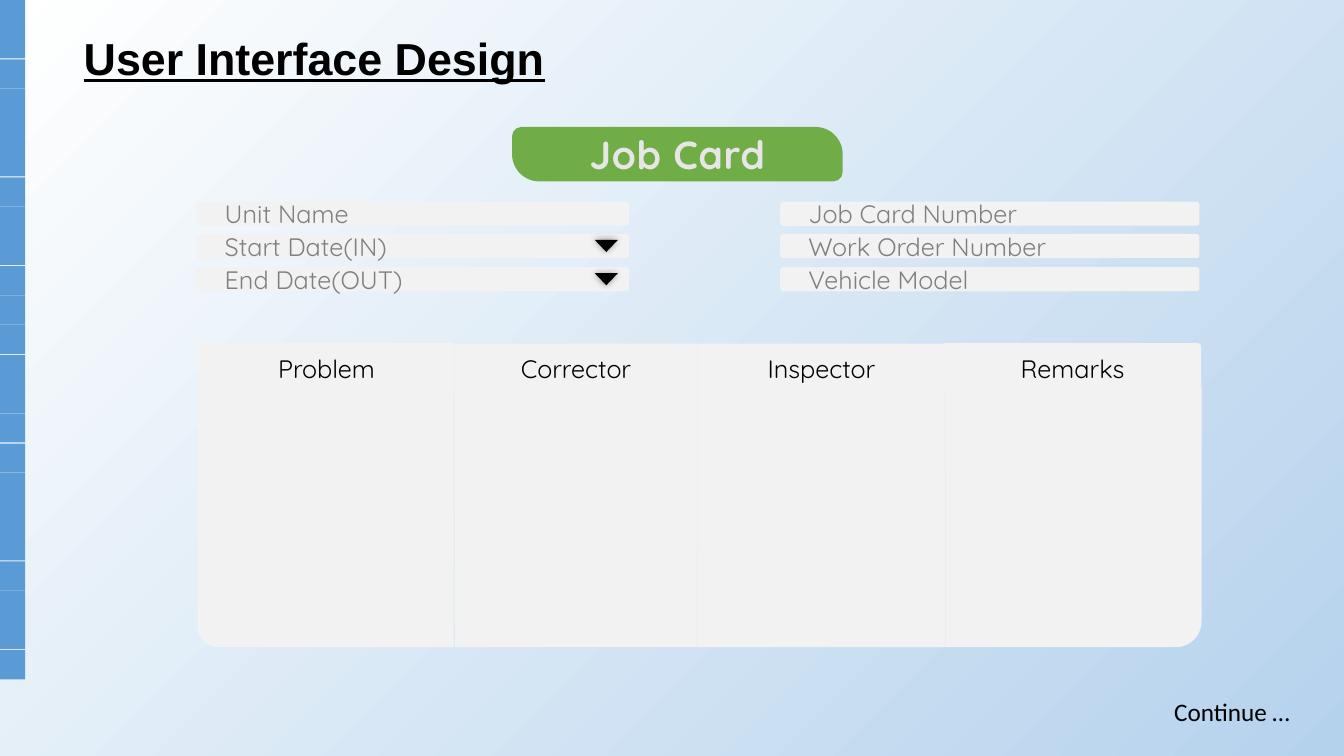
from lxml import etree
from pptx import Presentation
from pptx.dml.color import RGBColor
from pptx.enum.shapes import MSO_SHAPE as SHAPE
from pptx.enum.text import MSO_ANCHOR as ANCHOR, PP_ALIGN as ALIGN
from pptx.oxml import parse_xml
from pptx.oxml.ns import nsdecls, qn
from pptx.util import Pt

PX = 9144
rgb = RGBColor.from_string
BLUE, GREY, GREEN, BLACK = "5B9BD5", "F2F2F2", "70AD47", "000000"
FIELD_GREY, LIGHT = "808080", "E7E6E6"


def add_block(kind, box, fill, rotation=0, adjustments=()):
    shape = slide.shapes.add_shape(kind, *[value * PX for value in box])
    shape.shadow.inherit = False
    shape.fill.solid()
    shape.fill.fore_color.rgb = rgb(fill)
    shape.line.fill.background()
    shape.rotation = rotation
    for index, adjustment in enumerate(adjustments):
        shape.adjustments[index] = adjustment
    return shape


def write(shape, text, size, font, color, align=ALIGN.LEFT, anchor=ANCHOR.MIDDLE, bold=False):
    frame = shape.text_frame
    frame.word_wrap = True
    frame.vertical_anchor = anchor
    frame.text = text
    paragraph = frame.paragraphs[0]
    paragraph.alignment = align
    run = paragraph.runs[0]
    run.font.size = Pt(size)
    run.font.name = font
    run.font.bold = bold
    run.font.color.rgb = rgb(color)
    return run


presentation = Presentation()
presentation.slide_width = 12192000
presentation.slide_height = 750 * PX
slide = presentation.slides.add_slide(presentation.slide_layouts[5])

background = slide.background.fill
background.gradient()
background.gradient_angle = 315
for stop, color in zip(background.gradient_stops, ("FFFFFF", "B5D2EC")):
    stop.color.rgb = rgb(color)

title = slide.shapes.title
title.left, title.top, title.width, title.height = [value * PX for value in (73, 5, 481, 84)]
title_run = write(title, "User Interface Design", 32, "Arial", BLACK, anchor=ANCHOR.BOTTOM, bold=True)
title_run.font.underline = True

for index in range(23):
    add_block(SHAPE.RECTANGLE, (0, round(index * 29.3), 25, 29), BLUE)

end_headers = [("Problem", 299, 270, "vert"), ("Remarks", 1040, 90, "vert270")]
for text, left, rotation, direction in end_headers:
    header = add_block(SHAPE.ROUND_2_SAME_RECTANGLE, (left, 238, 49, 254), GREY, rotation, (0.06, 0))
    write(header, text, 18, "Quicksand", BLACK, ALIGN.CENTER)
    header.text_frame._txBody.bodyPr.set("vert", direction)

for text, left, width in [("Corrector", 451, 241), ("Inspector", 692, 246)]:
    header = add_block(SHAPE.RECTANGLE, (left, 341, width, 49), GREY)
    write(header, text, 18, "Quicksand", BLACK, ALIGN.CENTER)
    add_block(SHAPE.RECTANGLE, (left, 384, width, 258), GREY)

add_block(SHAPE.ROUND_1_RECTANGLE, (936, 386, 258, 254), GREY, 90, (0.1,))
left_body = add_block(SHAPE.ROUND_1_RECTANGLE, (194, 386, 258, 254), GREY, 90, (0.08,))
left_body._element.spPr.find(qn("a:xfrm")).set("flipV", "1")

field_tops = (200, 232, 265)
field_columns = [
    (195, 429, ("Unit Name", "Start Date(IN)", "End Date(OUT)")),
    (774, 416, ("Job Card Number", "Work Order Number", "Vehicle Model")),
]
for left, width, labels in field_columns:
    for top, label in zip(field_tops, labels):
        field = add_block(SHAPE.ROUNDED_RECTANGLE, (left, top, width, 24), GREY, 0, (0.13,))
        write(field, label, 18, "Quicksand", FIELD_GREY)
        field.text_frame.margin_left = 27 * PX

for top in field_tops[1:]:
    add_block(SHAPE.ROUNDED_RECTANGLE, (580, top, 43, 24), GREY, 0, (0.13,))
    arrow = add_block(SHAPE.ISOSCELES_TRIANGLE, (590, top + 6, 23, 12), BLACK, 180)
    glow = parse_xml(
        f'<a:outerShdw {nsdecls("a")} blurRad="63500" dist="0" dir="0">'
        f'<a:srgbClr val="{BLACK}"><a:alpha val="40000"/></a:srgbClr></a:outerShdw>'
    )
    arrow._element.spPr.find(qn("a:effectLst")).append(glow)

job_card = add_block(SHAPE.ROUND_2_DIAG_RECTANGLE, (508, 126, 328, 54), GREEN, 0, (0.17, 0.5))
job_card_run = write(job_card, "Job Card", 28, "Quicksand", LIGHT, ALIGN.CENTER, bold=True)
job_card_run.font._element.set("spc", "50")

continue_box = slide.shapes.add_textbox(*[value * PX for value in (1155, 686, 147, 40)])
write(continue_box, "Continue …", 18, "Calibri", BLACK, anchor=ANCHOR.TOP)

presentation.save("out.pptx")
